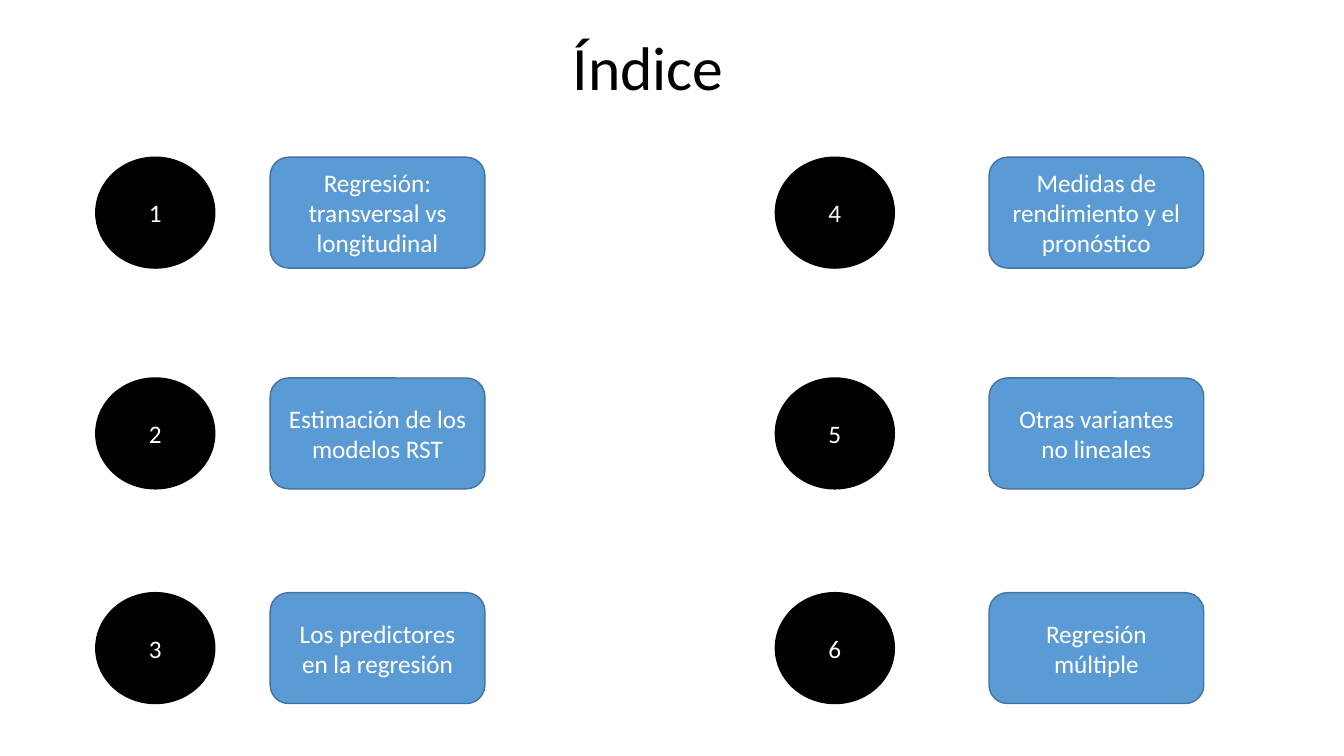
from pptx import Presentation
from pptx.dml.color import RGBColor
from pptx.enum.shapes import MSO_SHAPE as SHAPE
from pptx.enum.text import MSO_ANCHOR as ANCHOR, PP_ALIGN as ALIGN
from pptx.util import Inches, Pt

BLACK = RGBColor(0x00, 0x00, 0x00)
WHITE = RGBColor(0xFF, 0xFF, 0xFF)
BLUE = RGBColor(0x5B, 0x9B, 0xD5)
DARK_BLUE = RGBColor(0x43, 0x73, 0x9E)

ROW_TOPS = (1.56, 3.75, 5.88)
COLUMNS = ((0.95, 2.68), (7.69, 9.81))
TOPICS = (
    "Regresión: transversal vs longitudinal",
    "Estimación de los modelos RST",
    "Los predictores en la regresión",
    "Medidas de rendimiento y el pronóstico",
    "Otras variantes no lineales",
    "Regresión múltiple",
)


def write_text(s, text, size, color):
    """Put one centred paragraph of text in a shape."""
    tf = s.text_frame
    tf.word_wrap = True
    tf.vertical_anchor = ANCHOR.MIDDLE
    p = tf.paragraphs[0]
    p.alignment = ALIGN.CENTER
    r = p.add_run()
    r.text = text
    font_format = {"name": "Calibri", "size": Pt(size)}
    for name, value in font_format.items():
        setattr(r.font, name, value)
    r.font.color.rgb = color
    return p


def add_title(sp, text):
    """Add the slide heading."""
    s = sp.add_textbox(Inches(1.93), Inches(0.15), Inches(9), Inches(1.09))
    p = write_text(s, text, 44, BLACK)
    p.line_spacing = 0.9


def add_label(sp, kind, left, top, width, fill, line, text):
    """Add a filled shape with white text."""
    s = sp.add_shape(kind, Inches(left), Inches(top), Inches(width), Inches(1.1))
    s.shadow.inherit = False
    s.fill.solid()
    s.fill.fore_color.rgb = fill
    s.line.color.rgb = line
    s.line.width = Pt(1)
    write_text(s, text, 18, WHITE)


def add_topic(sp, index, topic):
    """Add a numbered circle and its topic box."""
    column, row = divmod(index, len(ROW_TOPS))
    circle_left, box_left = COLUMNS[column]
    top = ROW_TOPS[row]
    add_label(sp, SHAPE.OVAL, circle_left, top, 1.18, BLACK, BLACK, str(index + 1))
    add_label(sp, SHAPE.ROUNDED_RECTANGLE, box_left, top, 2.13, BLUE, DARK_BLUE, topic)


def main():
    """Build the index slide and save it."""
    prs = Presentation()
    prs.slide_width = Inches(13.33)
    prs.slide_height = Inches(7.5)
    sp = prs.slides.add_slide(prs.slide_layouts[6]).shapes
    add_title(sp, "Índice")
    for index, topic in enumerate(TOPICS):
        add_topic(sp, index, topic)
    prs.save("out.pptx")


if __name__ == "__main__":
    main()
